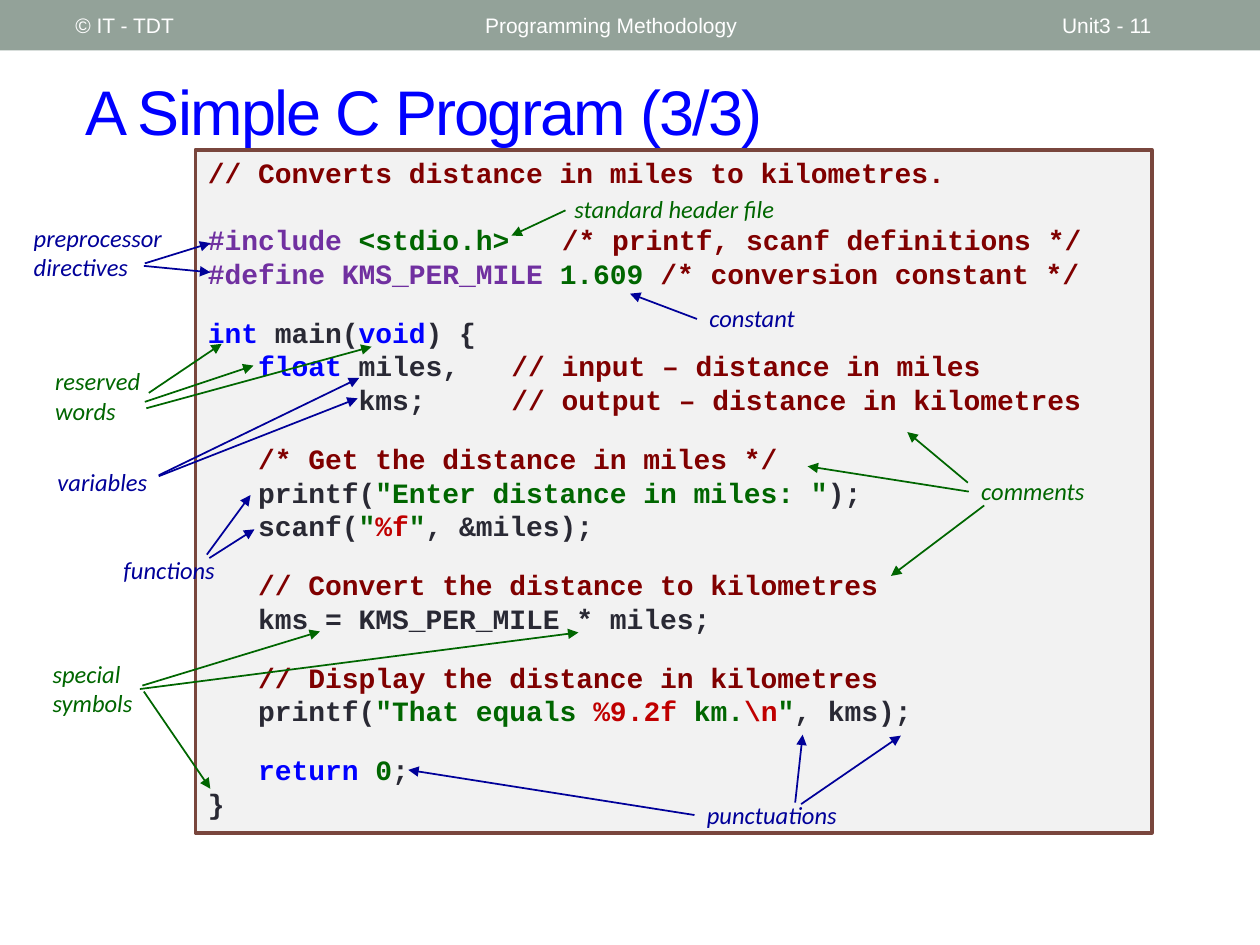
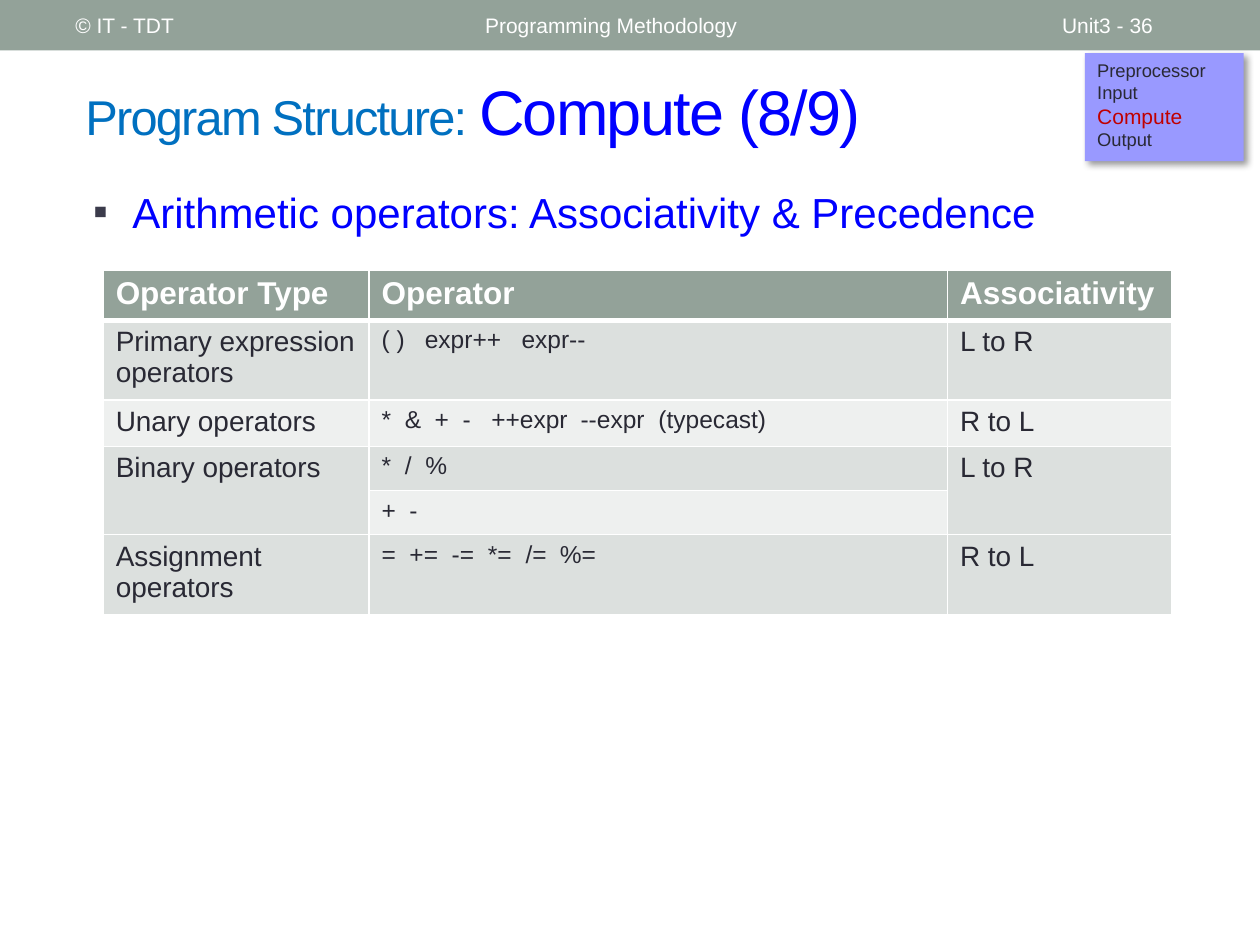
"""Build two programming lecture slides: an annotated C program and an operator table."""
from dataclasses import dataclass

from lxml import etree
from pptx import Presentation
from pptx.dml.color import RGBColor
from pptx.enum.shapes import MSO_CONNECTOR, MSO_SHAPE
from pptx.enum.text import MSO_ANCHOR, PP_ALIGN
from pptx.oxml.ns import qn
from pptx.util import Cm, Pt

RECTANGLE = MSO_SHAPE.RECTANGLE
STRAIGHT = MSO_CONNECTOR.STRAIGHT
TOP, MIDDLE = MSO_ANCHOR.TOP, MSO_ANCHOR.MIDDLE
LEFT = PP_ALIGN.LEFT


@dataclass(frozen=True)
class Theme:
    font: str = "Arial"
    label_font: str = "Calibri"
    code_font: str = "Courier New"
    white: str = "FFFFFF"
    text: str = "292934"
    band: str = "93A299"
    row_dark: str = "DCE0DE"
    row_light: str = "EEF0EF"
    blue: str = "0000FF"
    sky: str = "0070C0"
    navy: str = "000099"
    green: str = "006600"
    maroon: str = "800000"
    red: str = "C00000"
    purple: str = "7030A0"
    code_fill: str = "F2F2F2"
    code_line: str = "79463D"
    topic_fill: str = "9999FF"
    bullet: str = "3B3B4B"
    title_size: float = 36
    lead_size: float = 27.9
    body_size: float = 24
    header_size: float = 18
    code_size: float = 16
    cell_size: float = 16
    label_size: float = 14
    band_size: float = 12
    topic_size: float = 10.5


theme = Theme()


def write_runs(paragraph, runs, font=theme.font, bold=False, italic=False, spacing=0, tab_stops=()):
    paragraph.alignment = LEFT
    if tab_stops:
        tab_list = etree.SubElement(paragraph._p.get_or_add_pPr(), qn("a:tabLst"))
        for stop in tab_stops:
            etree.SubElement(tab_list, qn("a:tab"), pos=str(Cm(stop)), algn="l")
    for text, size, colour in runs:
        run = paragraph.add_run()
        run.text = text
        run.font.name = font
        run.font.size = Pt(size)
        run.font.bold = bold
        run.font.italic = italic
        run.font.color.rgb = RGBColor.from_string(colour)
        if spacing:
            run._r.get_or_add_rPr().set("spc", str(spacing * 100))


def add_text_box(slide, box, runs, anchor=TOP, **style):
    text_frame = slide.shapes.add_textbox(*map(Cm, box)).text_frame
    text_frame.word_wrap = True
    text_frame.vertical_anchor = anchor
    write_runs(text_frame.paragraphs[0], runs, **style)
    return text_frame.paragraphs[0]


presentation = Presentation()
presentation.slide_width, presentation.slide_height = Cm(25.4), Cm(19.05)

titles = [
    ("Unit3 - 11", [("A Simple C Program (3/3)", theme.title_size, theme.blue)]),
    ("Unit3 - 36", [("Program Structure: ", theme.lead_size, theme.sky),
                    ("Compute (8/9)", theme.title_size, theme.blue)]),
]
for page, title_runs in titles:
    slide = presentation.slides.add_slide(presentation.slide_layouts[6])
    band = slide.shapes.add_shape(RECTANGLE, 0, 0, presentation.slide_width, Cm(1.02))
    band.shadow.inherit = False
    band.fill.solid()
    band.fill.fore_color.rgb = RGBColor.from_string(theme.band)
    band.line.fill.background()
    add_text_box(slide, (1.47, 1.27, 22.66, 1.9), title_runs, MIDDLE, spacing=-1)
    for left, width, text in [(1.27, 8.05, "© IT - TDT"),
                              (9.53, 11.43, "Programming Methodology"),
                              (21.16, 2.97, page)]:
        add_text_box(slide, (left, 0.05, width, 0.91),
                     [(text, theme.band_size, theme.white)], MIDDLE)
program_slide, operator_slide = presentation.slides

code_box = program_slide.shapes.add_shape(RECTANGLE, Cm(3.94), Cm(3.02), Cm(19.28), Cm(13.77))
code_box.shadow.inherit = False
code_box.fill.solid()
code_box.fill.fore_color.rgb = RGBColor.from_string(theme.code_fill)
code_box.line.color.rgb = RGBColor.from_string(theme.code_line)
code_box.line.width = Pt(2.08)
code_box.text_frame.word_wrap = True
code_box.text_frame.vertical_anchor = TOP

character_width = 0.34
wide_gap, narrow_gap = 19, 14.5
code_lines = [
    (0, 0, [("// Converts distance in miles to kilometres.", theme.maroon)]),
    (wide_gap, 21, [("#include ", theme.purple), ("<stdio.h>\t", theme.green),
                    ("/* printf, scanf definitions */", theme.maroon)]),
    (0, 0, [("#define KMS_PER_MILE ", theme.purple), ("1.609 ", theme.green),
            ("/* conversion constant */", theme.maroon)]),
    (narrow_gap, 0, [("int", theme.blue), (" main(", theme.text),
                     ("void", theme.blue), (") {", theme.text)]),
    (0, 18, [("   float", theme.blue), (" miles,\t", theme.text),
             ("// input – distance in miles", theme.maroon)]),
    (0, 18, [("         kms;\t", theme.text),
             ("// output – distance in kilometres", theme.maroon)]),
    (narrow_gap, 0, [("   /* Get the distance in miles */", theme.maroon)]),
    (0, 0, [("   printf(", theme.text), ('"Enter distance in miles: "', theme.green),
            (");", theme.text)]),
    (0, 0, [("   scanf(", theme.text), ('"', theme.green), ("%f", theme.red),
            ('"', theme.green), (", &miles);", theme.text)]),
    (narrow_gap, 0, [("   // Convert the distance to kilometres", theme.maroon)]),
    (0, 0, [("   kms = KMS_PER_MILE * miles;", theme.text)]),
    (narrow_gap, 0, [("   // Display the distance in kilometres", theme.maroon)]),
    (0, 0, [("   printf(", theme.text), ('"That equals ', theme.green),
            ("%9.2f ", theme.red), ("km.", theme.green), ("\\n", theme.red),
            ('"', theme.green), (", kms);", theme.text)]),
    (narrow_gap, 0, [("   return ", theme.blue), ("0", theme.green), (";", theme.text)]),
    (0, 0, [("}", theme.text)]),
]
for index, (gap, tab_column, pieces) in enumerate(code_lines):
    text_frame = code_box.text_frame
    paragraph = text_frame.add_paragraph() if index else text_frame.paragraphs[0]
    write_runs(paragraph, [(text, theme.code_size, colour) for text, colour in pieces],
               theme.code_font, bold=True,
               tab_stops=[tab_column * character_width] if tab_column else [])
    if gap:
        paragraph.space_before = Pt(gap)

annotations = [
    ("preprocessor directives", theme.navy, (0.43, 4.37, 3.4, 1.45),
     [(2.92, 5.31, 4.24, 4.9), (2.9, 5.36, 4.24, 5.49)]),
    ("standard header file", theme.green, (11.33, 3.78, 4.85, 0.86),
     [(11.4, 4.24, 10.31, 4.75)]),
    ("comments", theme.green, (19.53, 9.47, 2.74, 0.86),
     [(19.51, 9.73, 18.29, 8.71), (19.53, 9.91, 16.28, 9.4), (19.84, 10.19, 17.96, 11.61)]),
    ("constant", theme.navy, (14.05, 5.99, 2.74, 0.86),
     [(14.05, 6.43, 12.7, 5.92)]),
    ("reserved words", theme.green, (0.86, 7.26, 2.74, 1.45),
     [(3, 7.92, 4.47, 6.93), (2.95, 8.23, 7.49, 6.99), (2.92, 8.1, 5.11, 7.37)]),
    ("variables", theme.navy, (0.91, 9.3, 2.74, 0.86),
     [(3.2, 9.58, 7.24, 7.62), (3.2, 9.6, 7.21, 8.03)]),
    ("functions", theme.navy, (2.24, 11.07, 2.62, 0.86),
     [(4.17, 11.18, 5.05, 9.98), (4.22, 11.25, 5.13, 10.67)]),
    ("special symbols", theme.green, (0.81, 13.16, 2.46, 1.45),
     [(2.87, 13.82, 6.45, 12.73), (2.82, 13.89, 11.66, 12.75), (2.9, 13.94, 4.24, 15.9)]),
    ("punctuations", theme.navy, (14, 16, 3.43, 0.86),
     [(16.15, 16.21, 18.16, 14.83), (16.03, 16.18, 16.18, 14.81), (14, 16.43, 8.23, 15.52)]),
]
for label, colour, box, arrows in annotations:
    add_text_box(program_slide, box, [(label, theme.label_size, colour)],
                 font=theme.label_font, italic=True)
    for ends in arrows:
        arrow = program_slide.shapes.add_connector(STRAIGHT, *map(Cm, ends))
        arrow.line.color.rgb = RGBColor.from_string(colour)
        arrow.line.width = Pt(1)
        etree.SubElement(arrow.line._get_or_add_ln(), qn("a:tailEnd"), type="triangle")
        etree.SubElement(arrow._element.spPr, qn("a:effectLst"))

topic_box = operator_slide.shapes.add_shape(RECTANGLE, Cm(21.87), Cm(1.07), Cm(3.2), Cm(2.18))
topic_box.fill.solid()
topic_box.fill.fore_color.rgb = RGBColor.from_string(theme.topic_fill)
topic_box.line.fill.background()
topic_box.shadow.inherit = False
shadow = etree.SubElement(topic_box._element.spPr.find(qn("a:effectLst")), qn("a:outerShdw"),
                          blurRad=str(Pt(4)), dist=str(Pt(3)), dir="2700000", algn="tl")
shadow_colour = etree.SubElement(shadow, qn("a:srgbClr"), val="000000")
etree.SubElement(shadow_colour, qn("a:alpha"), val="40000")
topic_box.text_frame.word_wrap = True
topic_box.text_frame.vertical_anchor = TOP
for index, topic in enumerate(["Preprocessor", "Input", "Compute", "Output"]):
    text_frame = topic_box.text_frame
    paragraph = text_frame.add_paragraph() if index else text_frame.paragraphs[0]
    current = topic == "Compute"
    write_runs(paragraph, [(topic, theme.band_size if current else theme.topic_size,
                            theme.red if current else theme.text)])

heading = add_text_box(operator_slide, (1.63, 3.63, 22.86, 1.7),
                       [("Arithmetic operators: Associativity & Precedence",
                         theme.body_size, theme.blue)])
properties = heading._p.get_or_add_pPr()
properties.set("marL", str(Cm(0.79)))
properties.set("indent", str(Cm(-0.79)))
bullet_colour = etree.SubElement(properties, qn("a:buClr"))
etree.SubElement(bullet_colour, qn("a:srgbClr"), val=theme.bullet)
etree.SubElement(properties, qn("a:buFont"), typeface=theme.font)
etree.SubElement(properties, qn("a:buChar"), char="▪")

operator_rows = [
    (0.96, theme.band, ["Operator Type", "Operator", "Associativity"], []),
    (1.52, theme.row_dark, ["Primary expression operators", "( )\texpr++\texpr--", "L to R"],
     [0.87, 2.82]),
    (0.89, theme.row_light,
     ["Unary operators", "*\t&\t+\t-\t++expr\t--expr\t(typecast)", "R to L"],
     [0.47, 1.07, 1.63, 2.21, 4.01, 5.58]),
    (0.89, theme.row_dark, ["Binary operators", "*\t/\t%", "L to R"], [0.47, 0.88]),
    (0.89, theme.row_light, ["", "+\t-", ""], [0.56]),
    (1.52, theme.row_dark, ["Assignment operators", "=\t+=\t-=\t*=\t/=\t%=", "R to L"],
     [0.56, 1.41, 2.14, 2.9, 3.59]),
]
column_widths = [5.36, 11.66, 4.52]
table = operator_slide.shapes.add_table(
    len(operator_rows), len(column_widths), Cm(2.08), Cm(5.44), Cm(sum(column_widths)),
    Cm(sum(row[0] for row in operator_rows))).table
table.horz_banding = False
for column, width in zip(table.columns, column_widths):
    column.width = Cm(width)
for row_index, (height, fill, texts, tab_stops) in enumerate(operator_rows):
    table.rows[row_index].height = Cm(height)
    for column_index, text in enumerate(texts):
        cell = table.cell(row_index, column_index)
        for side in "LRTB":
            heavy = (row_index, side) in [(0, "B"), (1, "T")]
            border = etree.SubElement(cell._tc.get_or_add_tcPr(), qn(f"a:ln{side}"),
                                      w=str(Pt(3 if heavy else 1)))
            border_fill = etree.SubElement(border, qn("a:solidFill"))
            etree.SubElement(border_fill, qn("a:srgbClr"), val=theme.white)
        cell.fill.solid()
        cell.fill.fore_color.rgb = RGBColor.from_string(fill)
        is_header, is_operator = row_index == 0, column_index == 1
        size = theme.label_size if is_operator else theme.cell_size
        if text:
            write_runs(cell.text_frame.paragraphs[0],
                       [(text, theme.header_size if is_header else size,
                         theme.white if is_header else theme.text)],
                       bold=is_header, tab_stops=tab_stops if is_operator else [])
for column_index in (0, 2):
    table.cell(3, column_index).merge(table.cell(4, column_index))

presentation.save("out.pptx")
